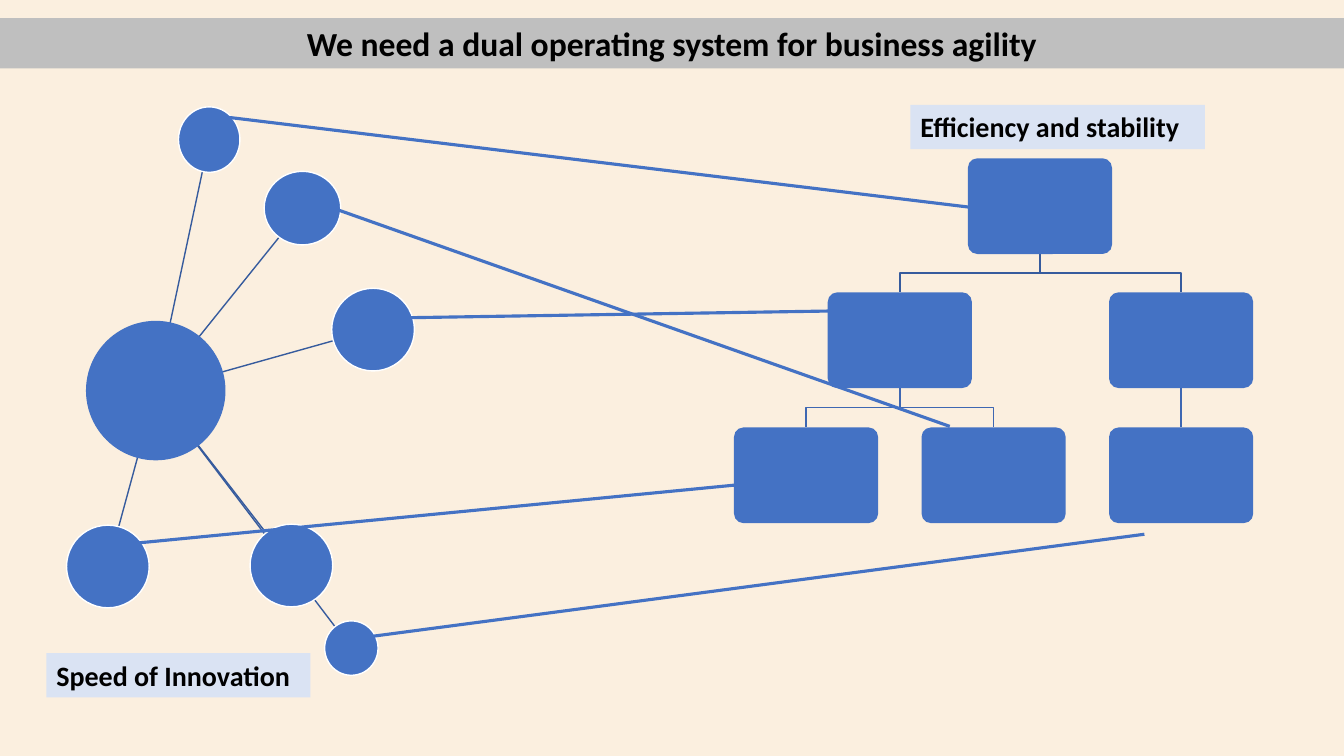
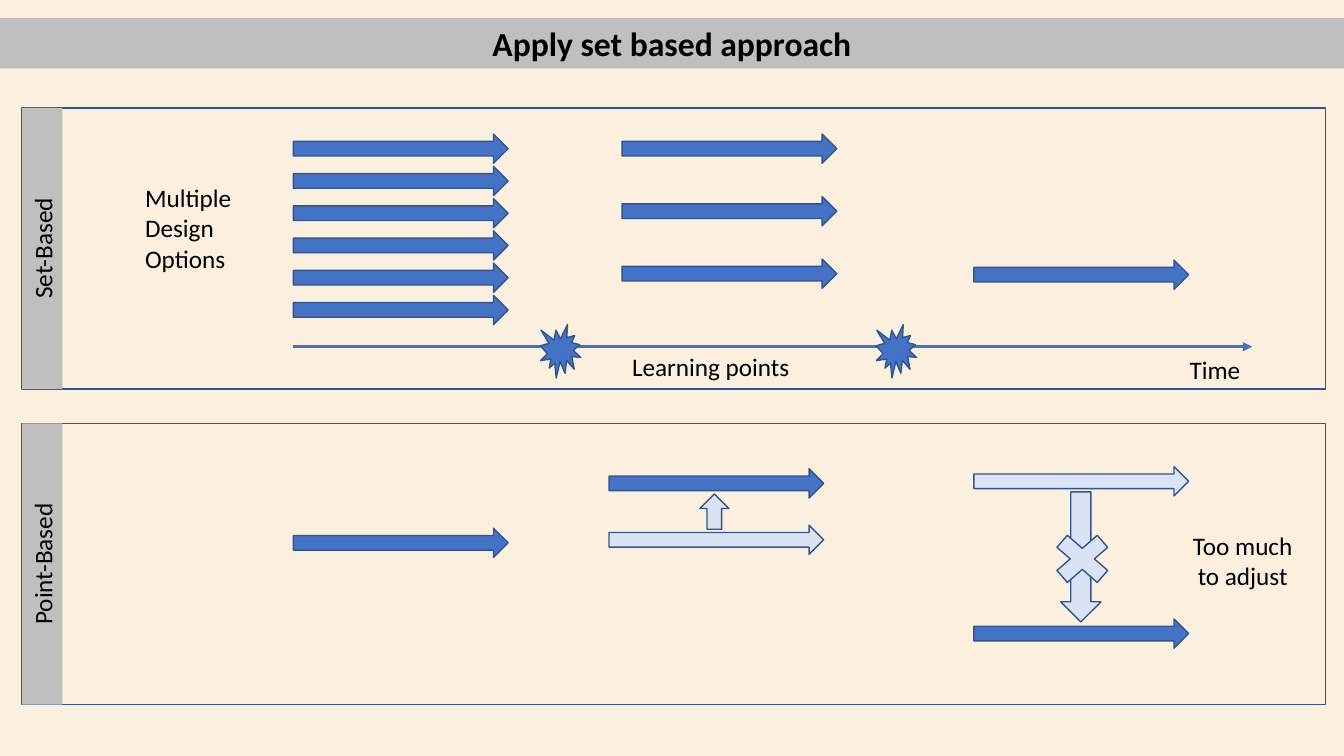
from dataclasses import dataclass

from lxml import etree
from pptx import Presentation
from pptx.dml.color import RGBColor
from pptx.enum.shapes import MSO_CONNECTOR, MSO_SHAPE
from pptx.enum.text import MSO_ANCHOR, MSO_AUTO_SIZE, PP_ALIGN
from pptx.oxml.ns import qn
from pptx.util import Inches, Pt

RECT, ROUND, OVAL = MSO_SHAPE.RECTANGLE, MSO_SHAPE.ROUNDED_RECTANGLE, MSO_SHAPE.OVAL
RIGHT, UP, DOWN = MSO_SHAPE.RIGHT_ARROW, MSO_SHAPE.UP_ARROW, MSO_SHAPE.DOWN_ARROW
BURST, CROSS = MSO_SHAPE.EXPLOSION1, MSO_SHAPE.MATH_MULTIPLY
STRAIGHT = MSO_CONNECTOR.STRAIGHT
TOP = MSO_ANCHOR.TOP
GROW = MSO_AUTO_SIZE.SHAPE_TO_FIT_TEXT
LEFT, CENTER = PP_ALIGN.LEFT, PP_ALIGN.CENTER


@dataclass(frozen=True)
class Theme:
    """Colours, font and type sizes shared by the slides."""
    background: str = "FBEFDF"
    band: str = "BFBFBF"
    blue: str = "4472C4"
    pale: str = "DAE3F3"
    edge: str = "325491"
    spoke: str = "365B9D"
    branch: str = "3E67B2"
    white: str = "FFFFFF"
    ink: str = "000000"
    font: str = "Calibri"
    title: int = 24
    label: int = 20
    body: int = 18
    thin: float = 1
    thick: float = 2.25


T = Theme()
WIDTH, HEIGHT = 13.33, 7.5

HUB = (0.86, 3.19, 1.37, 1.37)
SATELLITES = [
    (1.77, 1.06, 0.61, 0.65), (2.62, 1.7, 0.76, 0.73), (3.29, 2.86, 0.82, 0.82),
    (2.48, 5.2, 0.82, 0.82), (0.66, 5.21, 0.82, 0.82), (3.22, 6.16, 0.53, 0.54),
]
BOX_W, BOX_H = 1.43, 0.95
BOXES = {
    "head": (9.6, 1.57), "left": (8.21, 2.9), "right": (11, 2.9),
    "left a": (7.28, 4.24), "left b": (9.14, 4.24), "right a": (11, 4.24),
}
REPORTS = [
    ("head", "left", T.spoke), ("head", "right", T.spoke),
    ("left", "left a", T.branch), ("left", "left b", T.branch),
    ("right", "right a", T.branch),
]
BRIDGES = [
    ((2.23, 1.16), (9.9, 2.09)), ((0.92, 5.43), (8.14, 4.73)),
    ((3.55, 3.16), (8.58, 3.08)), ((2.95, 1.94), (9.42, 4.23)),
    ((3.41, 6.35), (11.35, 5.3)),
]
PANEL_X, PANEL_W, PANEL_H, TAB_W = 0.22, 12.93, 2.79, 0.4
ARROW_W, ARROW_H = 2.13, 0.29
STAGES = (2.91, 6.17, 9.66)
REWORK_X = 6.04


def rgb(color):
    """Turn a hex string into a colour."""
    return RGBColor.from_string(color)


def paint_line(line, color, width):
    """Give a line its colour and width, or hide it."""
    if color is None:
        line.fill.background()
    else:
        line.color.rgb = rgb(color)
        line.width = Pt(width)


def write(sp, text, size=T.body, bold=False, align=LEFT):
    """Fill a shape with one formatted paragraph."""
    tf = sp.text_frame
    tf.word_wrap = True
    tf.auto_size = GROW
    tf.vertical_anchor = TOP
    p = tf.paragraphs[0]
    p.alignment = align
    r = p.add_run()
    r.text = text
    r.font.name = T.font
    r.font.size = Pt(size)
    r.font.bold = bold
    r.font.color.rgb = rgb(T.ink)


def add_shape(s, kind, box, fill=None, line=None):
    """Add a flat preset shape at a box in inches."""
    sp = s.shapes.add_shape(kind, *map(Inches, box))
    sp.shadow.inherit = False
    if fill is None:
        sp.fill.background()
    else:
        sp.fill.solid()
        sp.fill.fore_color.rgb = rgb(fill)
    paint_line(sp.line, line, T.thin)
    return sp


def add_text(s, box, text, **style):
    """Add a plain text box."""
    write(s.shapes.add_textbox(*map(Inches, box)), text, **style)


def add_line(s, start, end, color, width=T.thin, arrow=False):
    """Add a straight line, with an arrowhead on request."""
    line = s.shapes.add_connector(STRAIGHT, *map(Inches, (*start, *end)))
    paint_line(line.line, color, width)
    if arrow:
        etree.SubElement(line.line._get_or_add_ln(), qn("a:tailEnd"), type="triangle")
    etree.SubElement(line._element.spPr, qn("a:effectLst"))


def add_elbow(s, start, end, color):
    """Join two points with a line that turns at half height."""
    (x1, y1), (x2, y2) = start, end
    if x1 == x2:
        add_line(s, start, end, color)
        return
    middle = (y1 + y2) / 2
    points = [(Inches(x), Inches(y)) for x, y in ((x1, middle), (x2, middle), end)]
    builder = s.shapes.build_freeform(Inches(x1), Inches(y1))
    builder.add_line_segments(points, close=False)
    sp = builder.convert_to_shape()
    sp.shadow.inherit = False
    sp.fill.background()
    paint_line(sp.line, color, T.thin)


def add_slide(prs, title):
    """Add a blank slide with the title band."""
    s = prs.slides.add_slide(prs.slide_layouts[6])
    band = add_shape(s, RECT, (0, 0.18, WIDTH, 0.5), T.band)
    write(band, title, size=T.title, bold=True, align=CENTER)
    return s


def add_label(s, box, text):
    """Add a bold caption on a pale ground."""
    write(add_shape(s, RECT, box, T.pale), text, size=T.label, bold=True)


def center(box):
    """Return the middle point of a box."""
    x, y, w, h = box
    return x + w / 2, y + h / 2


def add_network(s):
    """Draw the hub, its satellites and the spokes between them."""
    for box in reversed(SATELLITES):
        add_line(s, center(HUB), center(box), T.spoke)
    add_shape(s, OVAL, HUB, T.blue, T.blue)
    for box in SATELLITES:
        add_shape(s, OVAL, box, T.blue, T.white)


def add_hierarchy(s):
    """Draw the tree of boxes and its reporting lines."""
    for parent, child, color in REPORTS:
        (px, py), (cx, cy) = BOXES[parent], BOXES[child]
        add_elbow(s, (px + BOX_W / 2, py + BOX_H), (cx + BOX_W / 2, cy), color)
    for x, y in BOXES.values():
        sp = add_shape(s, ROUND, (x, y, BOX_W, BOX_H), T.blue)
        sp.adjustments[0] = 0.1


def add_panel(s, top, name):
    """Draw a framed panel with a sideways name tab."""
    add_shape(s, RECT, (PANEL_X, top, PANEL_W, PANEL_H), line=T.edge)
    shift = (PANEL_H - TAB_W) / 2
    tab = add_shape(s, RECT, (PANEL_X - shift, top + shift, PANEL_H, TAB_W), T.band)
    tab.rotation = 270
    write(tab, name, align=CENTER)


def add_option(s, x, y, fill=T.blue):
    """Draw one design option as an arrow."""
    add_shape(s, RIGHT, (x, y, ARROW_W, ARROW_H), fill, T.edge)


def add_set_based(s):
    """Fill the upper panel: many options narrow down to one."""
    add_panel(s, 1.07, "Set-Based")
    for x, top, count, pitch in zip(STAGES, (1.33, 1.33, 2.58), (6, 3, 1), (0.32, 0.62, 0)):
        for i in range(count):
            add_option(s, x, top + i * pitch)
    add_line(s, (2.91, 3.44), (12.42, 3.44), T.blue, T.thick, arrow=True)
    for x in (5.36, 8.69):
        add_shape(s, BURST, (x, 3.22, 0.4, 0.53), T.blue, T.edge)
    add_text(s, (6.17, 3.44, 1.88, 0.4), "Learning points")
    add_text(s, (11.7, 3.47, 0.8, 0.4), "Time")
    add_text(s, (1.34, 1.76, 1.69, 1.01), "Multiple Design Options")


def add_point_based(s):
    """Fill the lower panel: one option that needs rework."""
    add_panel(s, 4.2, "Point-Based")
    add_option(s, STAGES[0], 5.24)
    add_option(s, REWORK_X, 5.21, T.pale)
    add_option(s, REWORK_X, 4.65)
    add_option(s, STAGES[2], 4.63, T.pale)
    add_option(s, STAGES[2], 6.14)
    for kind, box in (
        (UP, (6.94, 4.9, 0.29, 0.35)),
        (DOWN, (10.52, 4.88, 0.4, 1.29)),
        (CROSS, (10.35, 5.21, 0.77, 0.67)),
    ):
        add_shape(s, kind, box, T.pale, T.edge)
    add_text(s, (11.68, 5.21, 1.29, 0.71), "Too much to adjust", align=CENTER)


def add_agility_slide(prs):
    """Build the slide on the dual operating system."""
    s = add_slide(prs, "We need a dual operating system for business agility")
    add_network(s)
    add_hierarchy(s)
    for start, end in BRIDGES:
        add_line(s, start, end, T.blue, T.thick)
    add_label(s, (0.46, 6.48, 2.62, 0.44), "Speed of Innovation")
    add_label(s, (9.03, 1.04, 2.92, 0.44), "Efficiency and stability")


def add_approach_slide(prs):
    """Build the slide that compares the two approaches."""
    s = add_slide(prs, "Apply set based approach")
    add_set_based(s)
    add_point_based(s)


def main():
    """Build and save the deck."""
    prs = Presentation()
    prs.slide_width, prs.slide_height = Inches(WIDTH), Inches(HEIGHT)
    ground = prs.slide_master.background.fill
    ground.solid()
    ground.fore_color.rgb = rgb(T.background)
    add_agility_slide(prs)
    add_approach_slide(prs)
    prs.save("out.pptx")


main()
